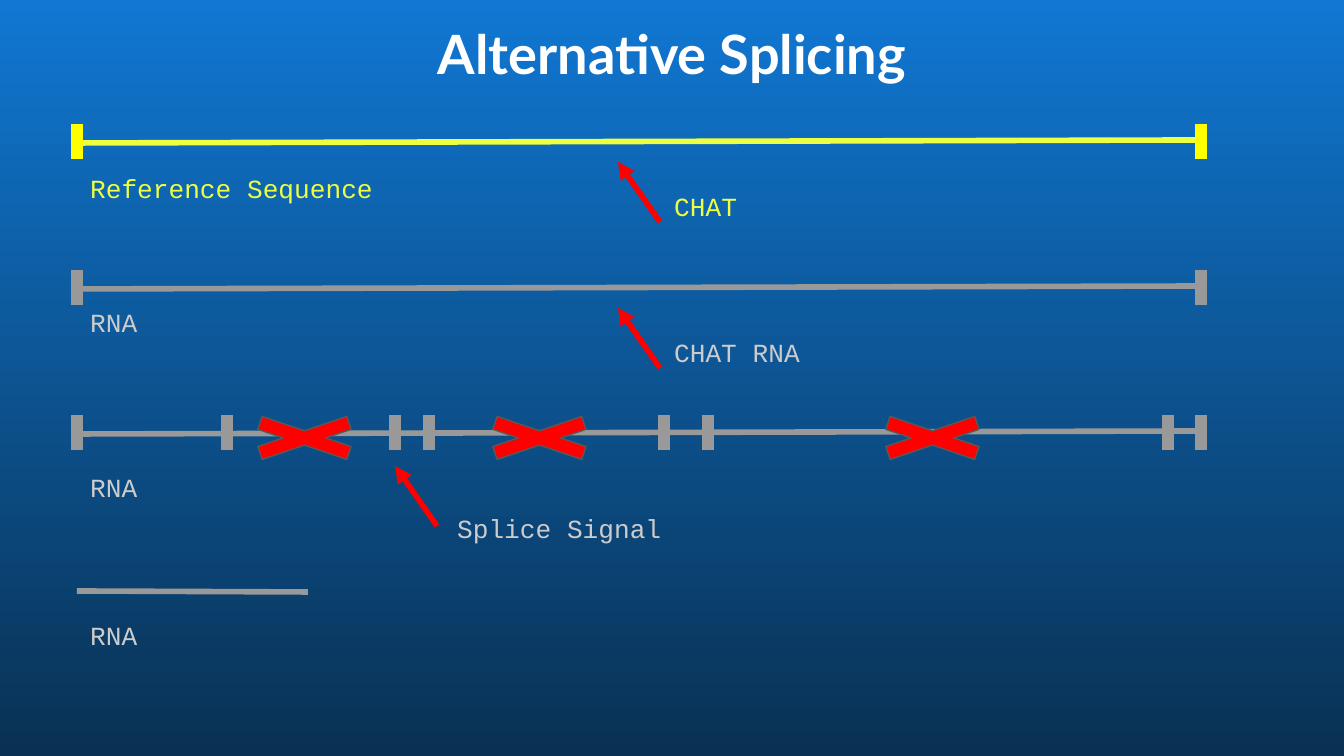
import pptx
import pptx.dml.color
import pptx.enum.shapes
import pptx.enum.text
import pptx.oxml.ns
import pptx.util
from lxml import etree

RGBColor = pptx.dml.color.RGBColor
SKY = RGBColor(0x10, 0x77, 0xD2)
NAVY = RGBColor(0x09, 0x31, 0x53)
WHITE = RGBColor(0xFF, 0xFF, 0xFF)
LEMON = RGBColor(0xEE, 0xFF, 0x41)
YELLOW = RGBColor(0xFF, 0xFF, 0x00)
GRAY = RGBColor(0x99, 0x99, 0x99)
LIGHT_GRAY = RGBColor(0xCC, 0xCC, 0xCC)
DARK_GRAY = RGBColor(0x59, 0x59, 0x59)
RED = RGBColor(0xFF, 0x00, 0x00)

PX_PER_INCH = 134.4
LEFT, RIGHT = 77, 1201
TICK_HEIGHT = 35
REFERENCE_TOP, PRE_RNA_TOP, SPLICED_TOP = 124, 270, 415
LABEL_WIDTH, LABEL_HEIGHT = 329, 59


def px(length):
    return pptx.util.Emu(round(length * 914400 / PX_PER_INCH))


def paint_background(slide):
    fill = slide.background.fill
    fill.gradient()
    fill.gradient_angle = 270
    for stop, color in zip(fill.gradient_stops, (SKY, NAVY)):
        stop.color.rgb = color


def add_text(slide, text, left, top, width, height, color,
             font_name="Courier New", size=14):
    box = slide.shapes.add_textbox(px(left), px(top), px(width), px(height))
    frame = box.text_frame
    frame.word_wrap = True
    frame.margin_left = frame.margin_right = pptx.util.Inches(0.1)
    frame.margin_top = frame.margin_bottom = pptx.util.Inches(0.1)
    paragraph = frame.paragraphs[0]
    paragraph.text = text
    paragraph.font.name = font_name
    paragraph.font.size = pptx.util.Pt(size)
    paragraph.font.color.rgb = color
    return frame


def add_title(slide, text):
    frame = add_text(slide, text, 0, 0, 1344, 99, WHITE, "Lato", 29)
    frame.vertical_anchor = pptx.enum.text.MSO_ANCHOR.BOTTOM
    paragraph = frame.paragraphs[0]
    paragraph.alignment = pptx.enum.text.PP_ALIGN.CENTER
    paragraph.line_spacing = 1.15
    paragraph.font.bold = True


def add_line(slide, start, end, color, width=3):
    line = slide.shapes.add_connector(
        pptx.enum.shapes.MSO_CONNECTOR.STRAIGHT,
        *map(px, start), *map(px, end))
    line.line.color.rgb = color
    line.line.width = pptx.util.Pt(width)
    etree.SubElement(line._element.spPr, pptx.oxml.ns.qn("a:effectLst"))
    return line


def add_pointer(slide, tip_x, tip_y):
    """Draw a red arrow that points up and left to its tip."""
    arrow = add_line(slide, (tip_x + 42, tip_y + 60), (tip_x, tip_y), RED)
    etree.SubElement(arrow.line._get_or_add_ln(),
                     pptx.oxml.ns.qn("a:tailEnd"), type="triangle")


def add_strand(slide, top, color, tick_color, splice_sites=()):
    """Draw a sequence with ticks at both ends and at the splice sites."""
    add_line(slide, (LEFT, top + 19), (RIGHT, top + 16), color)
    for x in (LEFT, RIGHT, *splice_sites):
        add_line(slide, (x, top), (x, top + TICK_HEIGHT), tick_color, 6)


def add_cross(slide, left):
    cross = slide.shapes.add_shape(
        pptx.enum.shapes.MSO_SHAPE.MATH_MULTIPLY,
        px(left), px(SPLICED_TOP - 6), px(171), px(58))
    cross.adjustments[0] = 0.235
    cross.shadow.inherit = False
    cross.fill.solid()
    cross.fill.fore_color.rgb = RED
    cross.line.color.rgb = DARK_GRAY
    cross.line.width = pptx.util.Pt(0.75)


def main():
    deck = pptx.Presentation()
    deck.slide_width, deck.slide_height = px(1344), px(756)
    slide = deck.slides.add_slide(deck.slide_layouts[6])
    paint_background(slide)
    add_title(slide, "Alternative Splicing")

    add_strand(slide, REFERENCE_TOP, LEMON, YELLOW)
    add_strand(slide, PRE_RNA_TOP, GRAY, GRAY)
    add_strand(slide, SPLICED_TOP, GRAY, GRAY,
               (227, 395, 429, 664, 708, 1168))
    for intron_left in (219, 454, 847):
        add_cross(slide, intron_left)
    add_line(slide, (LEFT, 591), (308, 592), GRAY)

    for name, top, color in (("Reference Sequence", 159, LEMON),
                             ("RNA", 293, LIGHT_GRAY),
                             ("RNA", 458, LIGHT_GRAY),
                             ("RNA", 606, LIGHT_GRAY)):
        add_text(slide, name, LEFT, top, LABEL_WIDTH, LABEL_HEIGHT, color)

    for name, tip_x, tip_y, left, top, width, color in (
            ("CHAT", 618, 162, 661, 177, 99, LEMON),
            ("CHAT RNA", 618, 308, 661, 323, 194, LIGHT_GRAY),
            ("Splice Signal", 395, 466, 444, 499, 294, LIGHT_GRAY)):
        add_pointer(slide, tip_x, tip_y)
        add_text(slide, name, left, top, width, LABEL_HEIGHT, color)

    deck.save("out.pptx")


if __name__ == "__main__":
    main()
